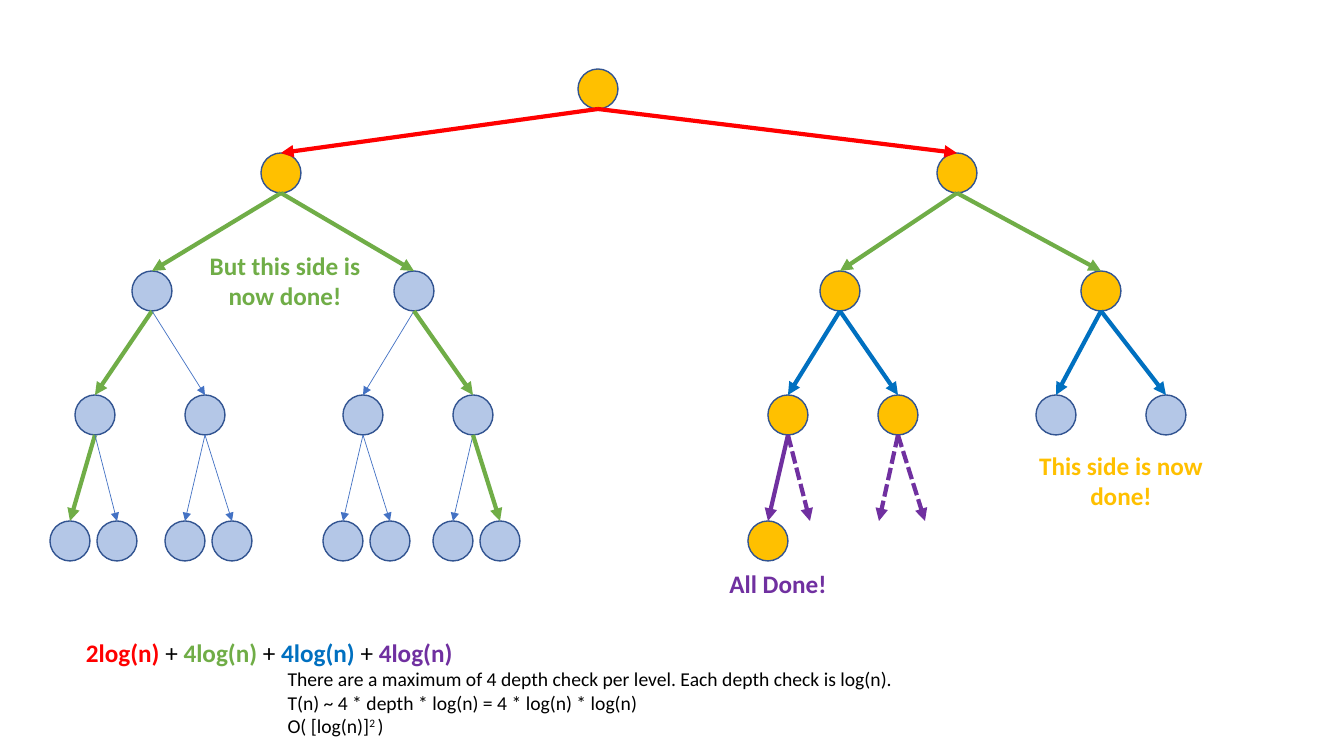
"""Build a slide showing the depth checks made per level of a binary tree."""
from lxml import etree
from pptx import Presentation
from pptx.dml.color import RGBColor
from pptx.enum.dml import MSO_LINE
from pptx.enum.shapes import MSO_CONNECTOR, MSO_SHAPE
from pptx.enum.text import MSO_AUTO_SIZE, PP_ALIGN
from pptx.oxml.ns import qn
from pptx.util import Inches, Pt

OVAL, STRAIGHT = MSO_SHAPE.OVAL, MSO_CONNECTOR.STRAIGHT
DASH, CENTER = MSO_LINE.SQUARE_DOT, PP_ALIGN.CENTER
FIT = MSO_AUTO_SIZE.SHAPE_TO_FIT_TEXT

GOLD = RGBColor(0xFF, 0xC0, 0x00)
PALE = RGBColor(0xB4, 0xC7, 0xE7)
OUTLINE = RGBColor(0x32, 0x54, 0x91)
RED = RGBColor(0xFF, 0x00, 0x00)
GREEN = RGBColor(0x70, 0xAD, 0x47)
BLUE = RGBColor(0x00, 0x70, 0xC0)
PURPLE = RGBColor(0x70, 0x30, 0xA0)
THIN_BLUE = RGBColor(0x44, 0x72, 0xC4)
BLACK = RGBColor(0x00, 0x00, 0x00)

FONT = "Calibri"
SCALE = Inches(1) / 100.8
NODE_SIZE = 40

# Each level: top, then nodes as (centre x, fill, parent index, arrow colour).
LEVELS = [
    (69, [(598, GOLD, None, None)]),
    (153, [(281, GOLD, 0, RED), (957, GOLD, 0, RED)]),
    (271, [(152, PALE, 0, GREEN), (414, PALE, 0, GREEN),
           (840, GOLD, 1, GREEN), (1101, GOLD, 1, GREEN)]),
    (395, [(95, PALE, 0, GREEN), (205, PALE, 0, THIN_BLUE),
           (363, PALE, 1, THIN_BLUE), (473, PALE, 1, GREEN),
           (788, GOLD, 2, BLUE), (898, GOLD, 2, BLUE),
           (1056, PALE, 3, BLUE), (1166, PALE, 3, BLUE)]),
    (521, [(70, PALE, 0, GREEN), (117, PALE, 0, THIN_BLUE),
           (185, PALE, 1, THIN_BLUE), (232, PALE, 1, THIN_BLUE),
           (343, PALE, 2, THIN_BLUE), (390, PALE, 2, THIN_BLUE),
           (453, PALE, 3, THIN_BLUE), (500, PALE, 3, GREEN),
           (768, GOLD, 4, PURPLE), (810, None, 4, PURPLE),
           (879, None, 5, PURPLE), (925, None, 5, PURPLE)]),
]

LABELS = [
    ("But this side is now done!", GREEN, (186, 245, 198, 72)),
    ("This side is now done!", GOLD, (1022, 445, 198, 72)),
    ("All Done!", PURPLE, (679, 563, 198, 40)),
]

COST_BOX = (76, 632, 834, 112)
COST_TERMS = [("2log(n) ", RED), ("+ ", BLACK), ("4log(n)", GREEN),
              (" + ", BLACK), ("4log(n)", BLUE), (" + ", BLACK),
              ("4log(n)", PURPLE)]
EXPLANATION = [
    [("There are a maximum of 4 depth check per level. "
      "Each depth check is log(n).", False)],
    [("T(n) ~ 4 * depth * log(n) = 4 * log(n) * log(n) ", False)],
    [("O( [log(n)]", False), ("2 ", True), (")", False)],
]


def px(*lengths):
    return [round(length * SCALE) for length in lengths]


def add_node(slide, center, top, fill):
    box = px(center - NODE_SIZE / 2, top, NODE_SIZE, NODE_SIZE)
    node = slide.shapes.add_shape(OVAL, *box)
    node.shadow.inherit = False
    node.fill.solid()
    node.fill.fore_color.rgb = fill
    node.line.color.rgb = OUTLINE
    node.line.width = Pt(1)


def add_arrow(slide, start, end, color, dashed):
    arrow = slide.shapes.add_connector(STRAIGHT, *px(*start, *end))
    arrow.line.color.rgb = color
    arrow.line.width = Pt(0.5 if color == THIN_BLUE else 3)
    if dashed:
        arrow.line.dash_style = DASH
    properties = arrow._element.spPr
    outline = properties.find(qn("a:ln"))
    etree.SubElement(outline, qn("a:tailEnd"), type="triangle")
    etree.SubElement(properties, qn("a:effectLst"))


def add_text_frame(slide, box, wrap):
    frame = slide.shapes.add_textbox(*px(*box)).text_frame
    frame.word_wrap = wrap
    frame.auto_size = FIT
    return frame


def style_font(font, size, color=None, bold=None):
    font.name = FONT
    font.size = Pt(size)
    font.bold = bold
    if color is not None:
        font.color.rgb = color


def add_label(slide, text, color, box):
    paragraph = add_text_frame(slide, box, True).paragraphs[0]
    paragraph.text = text
    paragraph.alignment = CENTER
    style_font(paragraph.font, 18, color, True)


def add_cost(slide):
    frame = add_text_frame(slide, COST_BOX, False)
    paragraph = frame.paragraphs[0]
    style_font(paragraph.font, 18)
    for text, color in COST_TERMS:
        run = paragraph.add_run()
        run.text = text
        run.font.bold = color != BLACK
        run.font.color.rgb = color
    for pieces in EXPLANATION:
        paragraph = frame.add_paragraph()
        paragraph.level = 4
        style_font(paragraph.font, 14, BLACK, False)
        properties = paragraph._p.get_or_add_pPr()
        properties.set("marL", str(Inches(2)))
        properties.set("indent", "0")
        for text, raised in pieces:
            run = paragraph.add_run()
            run.text = text
            if raised:
                run._r.get_or_add_rPr().set("baseline", "30000")


presentation = Presentation()
presentation.slide_width, presentation.slide_height = px(1344, 756)
slide = presentation.slides.add_slide(presentation.slide_layouts[6])

for top, nodes in LEVELS:
    for center, fill, _, _ in nodes:
        if fill is not None:
            add_node(slide, center, top, fill)

for (parent_top, parents), (top, children) in zip(LEVELS, LEVELS[1:]):
    for center, fill, parent, color in children:
        start = (parents[parent][0], parent_top + NODE_SIZE)
        add_arrow(slide, start, (center, top), color, fill is None)

for label in LABELS:
    add_label(slide, *label)
add_cost(slide)

presentation.save("out.pptx")
